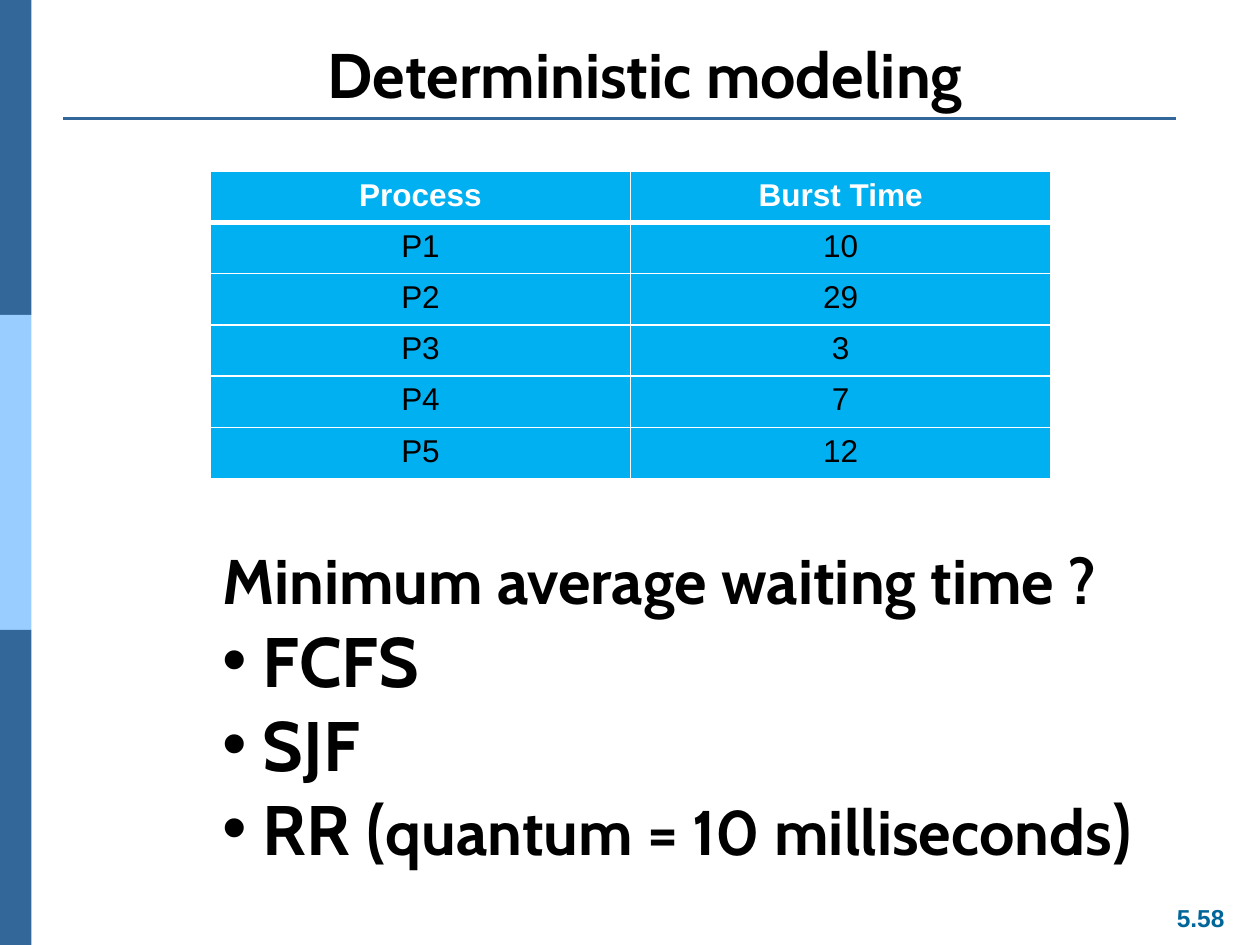
import pptx
import pptx.dml.color
import pptx.enum.shapes
import pptx.enum.text
import pptx.oxml
import pptx.oxml.ns
import pptx.util
from pptx.util import Inches

ALIGN = pptx.enum.text.PP_ALIGN
ANCHOR = pptx.enum.text.MSO_ANCHOR
NAMESPACE = pptx.oxml.ns.nsdecls("a")


def colour(value):
    return pptx.dml.color.RGBColor.from_string(value)


class SlideBuilder:
    """Holds the style and the slide being built."""

    heading_font, body_font = "Cabin", "Arial"
    black, white = "000000", "FFFFFF"
    dark_blue, light_blue, cell_blue, number_blue = "336699", "99CCFF", "00B0F0", "006699"

    def __init__(self, slide):
        self.slide = slide

    def bar(self, left, top, width, height, fill):
        shape = self.slide.shapes.add_shape(
            pptx.enum.shapes.MSO_SHAPE.RECTANGLE,
            Inches(left), Inches(top), Inches(width), Inches(height))
        shape.shadow.inherit = False
        shape.fill.solid()
        shape.fill.fore_color.rgb = colour(fill)
        shape.line.fill.background()

    def rule(self, left, right, top):
        line = self.slide.shapes.add_connector(
            pptx.enum.shapes.MSO_CONNECTOR.STRAIGHT,
            Inches(left), Inches(top), Inches(right), Inches(top))
        line.line.color.rgb = colour(self.dark_blue)
        line.line.width = pptx.util.Pt(1.5)
        line._element.spPr.append(pptx.oxml.parse_xml(f"<a:effectLst {NAMESPACE}/>"))

    def span(self, para, text, size, font, ink, bold=True):
        span = para.add_run()
        span.text = text
        span.font.size = pptx.util.Pt(size)
        span.font.name = font
        span.font.bold = bold
        span.font.color.rgb = colour(ink)

    def bullet(self, para):
        properties = para._p.get_or_add_pPr()
        properties.set("marL", "0")
        properties.set("indent", "0")
        for tag in ('buFont typeface="Arial"', 'buChar char="•"'):
            properties.append(pptx.oxml.parse_xml(f"<a:{tag} {NAMESPACE}/>"))

    def text(self, left, top, width, height, lines, font, ink=black,
             align=ALIGN.LEFT, anchor=ANCHOR.TOP, wrap=False):
        """Each line is (has a bullet, [(text, size), ...])."""
        box = self.slide.shapes.add_textbox(
            Inches(left), Inches(top), Inches(width), Inches(height))
        frame = box.text_frame
        frame.word_wrap = wrap
        frame.vertical_anchor = anchor
        for index, (bulleted, spans) in enumerate(lines):
            para = frame.add_paragraph() if index else frame.paragraphs[0]
            para.alignment = align
            if bulleted:
                self.bullet(para)
            for words, size in spans:
                self.span(para, words, size, font, ink)

    def borders(self, cell, top, bottom):
        """Draw white cell borders, with top and bottom widths in points."""
        properties = cell._tc.get_or_add_tcPr()
        widths = {"L": 1, "R": 1, "T": top, "B": bottom}
        for index, (side, width) in enumerate(widths.items()):
            properties.insert(index, pptx.oxml.parse_xml(
                f'<a:ln{side} {NAMESPACE} w="{pptx.util.Pt(width)}"><a:solidFill>'
                f'<a:srgbClr val="{self.white}"/></a:solidFill></a:ln{side}>'))

    def table(self, left, top, width, height, rows):
        frame = self.slide.shapes.add_table(
            len(rows), len(rows[0]),
            Inches(left), Inches(top), Inches(width), Inches(height))
        for row, values in enumerate(rows):
            header = row == 0
            for column, value in enumerate(values):
                cell = frame.table.cell(row, column)
                cell.fill.solid()
                cell.fill.fore_color.rgb = colour(self.cell_blue)
                self.borders(cell, 3 if row == 1 else 1, 3 if header else 1)
                para = cell.text_frame.paragraphs[0]
                para.alignment = ALIGN.CENTER
                self.span(para, value, 18, self.body_font,
                          self.white if header else self.black, header)


def main():
    deck = pptx.Presentation()
    deck.slide_width, deck.slide_height = Inches(10), Inches(7.5)
    page = SlideBuilder(deck.slides.add_slide(deck.slide_layouts[6]))

    for index, fill in enumerate((page.dark_blue, page.light_blue, page.dark_blue)):
        page.bar(0, 2.5 * index, 0.25, 2.5, fill)
    page.rule(0.5, 9.33, 0.94)
    page.text(9.23, 7.12, 0.6, 0.34, [(False, [("5.58", 14)])],
              page.body_font, page.number_blue, ALIGN.CENTER)
    page.text(0.62, 0.3, 9, 0.63, [(False, [("Deterministic modeling", 36)])],
              page.heading_font, align=ALIGN.CENTER, anchor=ANCHOR.BOTTOM, wrap=True)

    page.table(1.67, 1.36, 6.67, 2.44, [
        ("Process", "Burst Time"),
        ("P1", "10"),
        ("P2", "29"),
        ("P3", "3"),
        ("P4", "7"),
        ("P5", "12"),
    ])
    page.text(1.67, 4.25, 7.56, 2.73, [
        (False, [("Minimum average waiting time ?", 36)]),
        (True, [(" FCFS", 40)]),
        (True, [(" SJF", 40)]),
        (True, [(" RR (", 40), ("quantum = 10 milliseconds", 36), (")", 40)]),
    ], page.heading_font)

    deck.save("out.pptx")


if __name__ == "__main__":
    main()
